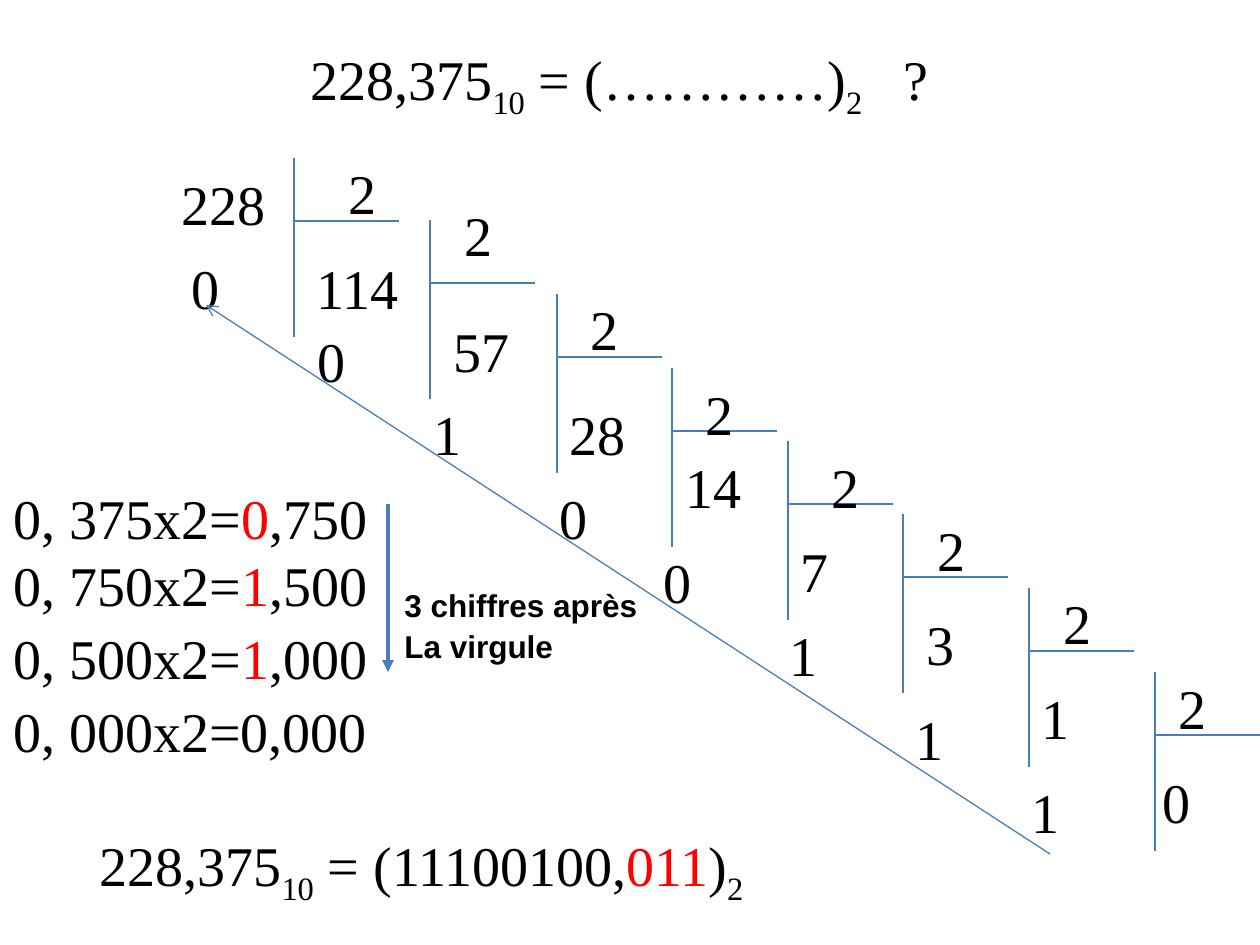
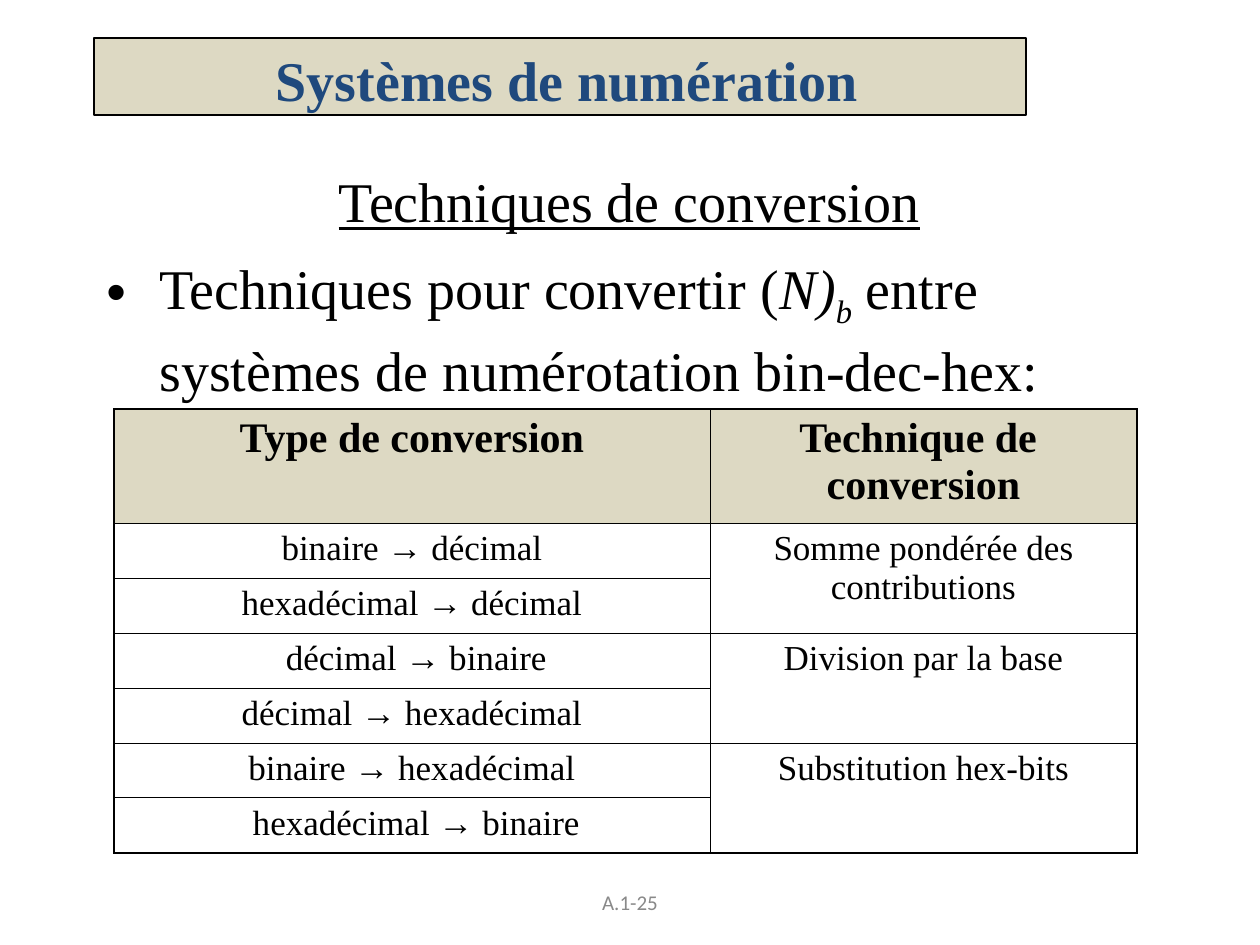
import pptx
import pptx.util
import pptx.dml.color
import pptx.enum.shapes
import pptx.enum.text
import pptx.oxml
import pptx.oxml.ns
from lxml import etree

PX = 914400 / 126
SERIF, SANS, FOOTER_FONT = "Times New Roman", "Arial", "Calibri"
BLACK, RED, BLUE, NAVY, SAND, GREY = "000000", "FF0000", "4A7EBB", "1F497D", "DDD9C3", "898989"
CENTER = pptx.enum.text.PP_ALIGN.CENTER
MIDDLE = pptx.enum.text.MSO_ANCHOR.MIDDLE
LINE_SPACING = 1.08
SUB = {"sub": True}

# Slide 1 content: a run is (text, format)
QUESTION = [(" 228,375", {}), ("10", SUB), (" = (…………)", {}), ("2", SUB), ("\t?", {})]
ANSWER = [(" 228,375", {}), ("10", SUB), (" = (11100100,", {}), ("011", {"color": RED}),
          (")", {}), ("2", SUB)]
NOTE = ["3 chiffres après", "La virgule"]
FRACTIONS = [(472, "0, 375x2=", "0", ",750"), (539, "0, 750x2=", "1", ",500"),
             (612, "0, 500x2=", "1", ",000"), (685, "0, 000x2=0,000", "", "")]
NUMBER, BASE = 228, 2
# Per division, the left and top of: bracket, divisor, dividend, remainder
DIVISIONS = [
    ((294, 158), (336, 147), (169, 158), (179, 242)),
    ((430, 220), (452, 189), (304, 242), (305, 315)),
    ((557, 294), (578, 283), (441, 305), (421, 388)),
    ((672, 368), (693, 368), (557, 388), (547, 472)),
    ((788, 441), (819, 441), (673, 441), (651, 536)),
    ((903, 514), (925, 504), (788, 525), (777, 609)),
    ((1029, 588), (1051, 577), (914, 598), (903, 693)),
    ((1155, 672), (1166, 662), (1029, 672), (1019, 766)),
]
LAST_QUOTIENT = (1150, 756)
BRACKET_HEIGHT, ARM_DROP, ARM_LENGTH = 179, 63, 105

# Slide 2 content
TITLE = " Systèmes de numération"
SUBTITLE = "Techniques de conversion"
INTRO = [("Techniques pour convertir (", {}), ("N)", {"italic": True}),
         ("b", {"italic": True, "sub": True}),
         (" entre systèmes de numérotation bin-dec-hex:", {})]
HEADERS = ["Type de conversion", "Technique de \nconversion"]
TECHNIQUES = [
    ("Somme pondérée des contributions", ["binaire → décimal", "hexadécimal → décimal"]),
    ("Division par la base", [" décimal → binaire", "décimal → hexadécimal"]),
    ("Substitution hex-bits", ["binaire → hexadécimal", " hexadécimal → binaire"]),
]
COLUMNS, HEADER_HEIGHT, ROW_HEIGHT = (596, 427), 114, 55
PAGE = "A.1-25"


def px(length):
    return pptx.util.Emu(round(length * PX))


def rgb(color):
    return pptx.dml.color.RGBColor.from_string(color)


def style(run, size=32, font=SERIF, color=BLACK, bold=False, italic=False,
          underline=False, sub=False):
    run.font.size, run.font.name = pptx.util.Pt(size), font
    run.font.bold, run.font.italic, run.font.underline = bold, italic, underline
    run.font.color.rgb = rgb(color)
    if sub:
        run.font._element.set("baseline", "-25000")


def add_runs(paragraph, runs, spacing=LINE_SPACING, **common):
    paragraph.line_spacing = spacing
    for text, own in runs:
        run = paragraph.add_run()
        run.text = text
        style(run, **{**common, **own})


def add_text(slide, box, lines, wrap=True, align=None, **common):
    frame = slide.shapes.add_textbox(*map(px, box)).text_frame
    frame.word_wrap = wrap
    for i, runs in enumerate(lines):
        paragraph = frame.add_paragraph() if i else frame.paragraphs[0]
        paragraph.alignment = align
        add_runs(paragraph, runs, **common)
    return frame


def add_digits(slide, number, place):
    text = str(number)
    add_text(slide, (*place, 25 + 28 * len(text), 81), [[(text, {})]], wrap=False)


def add_line(slide, start, end, width=0.75, arrow=None):
    line = slide.shapes.add_connector(pptx.enum.shapes.MSO_CONNECTOR.STRAIGHT,
                                      *map(px, (*start, *end)))
    line.line.color.rgb = rgb(BLUE)
    line.line.width = pptx.util.Pt(width)
    if arrow:
        etree.SubElement(line.line._get_or_add_ln(),
                         pptx.oxml.ns.qn("a:tailEnd")).set("type", arrow)
    etree.SubElement(line._element.spPr, pptx.oxml.ns.qn("a:effectLst"))


def set_borders(cell, widths):
    properties = cell._tc.get_or_add_tcPr()
    for side, width in zip("LRTB", widths):
        properties.append(pptx.oxml.parse_xml(
            f'<a:ln{side} {pptx.oxml.ns.nsdecls("a")} w="{round(width * 12700)}">'
            f'<a:solidFill><a:srgbClr val="{BLACK}"/></a:solidFill></a:ln{side}>'))


def fill_cell(cell, text, size, bold=False, fill=None):
    cell.text_frame.text = text
    for paragraph in cell.text_frame.paragraphs:
        paragraph.alignment = CENTER
        for run in paragraph.runs:
            style(run, size=size, bold=bold)
    if fill:
        cell.fill.solid()
        cell.fill.fore_color.rgb = rgb(fill)
    else:
        cell.fill.background()


def build_division_slide(slide):
    question = add_text(slide, (284, 32, 693, 166), [QUESTION])
    question.paragraphs[0]._p.get_or_add_pPr().append(pptx.oxml.parse_xml(
        f'<a:tabLst {pptx.oxml.ns.nsdecls("a")}><a:tab pos="{px(607)}" algn="l"/></a:tabLst>'))

    # Staircase of divisions
    dividend = NUMBER
    for (x, y), divisor_at, dividend_at, remainder_at in DIVISIONS:
        add_line(slide, (x, y), (x, y + BRACKET_HEIGHT))
        add_line(slide, (x, y + ARM_DROP), (x + ARM_LENGTH, y + ARM_DROP))
        add_digits(slide, BASE, divisor_at)
        add_digits(slide, dividend, dividend_at)
        dividend, remainder = divmod(dividend, BASE)
        add_digits(slide, remainder, remainder_at)
    add_digits(slide, dividend, LAST_QUOTIENT)

    # Fractional part, kept digits in red
    for top, product, digit, rest in FRACTIONS:
        runs = [(product, {}), (digit, {"color": RED}), (rest, {})]
        add_text(slide, (1, top, 379, 81), [[run for run in runs if run[0]]])
    add_line(slide, (388, 504), (388, 672), 2.25, "triangle")
    add_text(slide, (392, 577, 258, 88), [[(line, {})] for line in NOTE], wrap=False,
             size=18, font=SANS, bold=True)

    # Result and reading direction
    add_text(slide, (73, 818, 693, 100), [ANSWER])
    add_line(slide, (1050, 854), (206, 305), arrow="arrow")


def build_techniques_slide(slide):
    # Title band
    band = slide.shapes.add_shape(pptx.enum.shapes.MSO_SHAPE.RECTANGLE,
                                  *map(px, (94, 38, 932, 77)))
    band.shadow.inherit = False
    band.fill.solid()
    band.fill.fore_color.rgb = rgb(SAND)
    band.line.color.rgb = rgb(BLACK)
    band.line.width = pptx.util.Pt(0.75)
    band.text_frame.vertical_anchor = MIDDLE
    heading = band.text_frame.paragraphs[0]
    heading.alignment = CENTER
    add_runs(heading, [(TITLE, {})], color=NAVY, bold=True)

    # Subtitle and bullet
    body = add_text(slide, (94, 155, 1071, 250), [[(SUBTITLE, {"underline": True})], INTRO])
    subtitle, intro = body.paragraphs
    subtitle.alignment = CENTER
    intro.space_before = pptx.util.Pt(8)
    bullet = intro._p.get_or_add_pPr()
    bullet.set("marL", str(px(53)))
    bullet.set("indent", str(px(-53)))
    etree.SubElement(bullet, pptx.oxml.ns.qn("a:buFont")).set("typeface", SANS)
    etree.SubElement(bullet, pptx.oxml.ns.qn("a:buChar")).set("char", "•")

    # Table of techniques
    row_count = 1 + sum(len(kinds) for _, kinds in TECHNIQUES)
    height = HEADER_HEIGHT + ROW_HEIGHT * (row_count - 1)
    table = slide.shapes.add_table(row_count, 2, *map(px, (114, 409, sum(COLUMNS), height))).table
    for column, width in zip(table.columns, COLUMNS):
        column.width = px(width)
    for i, row in enumerate(table.rows):
        row.height = px(ROW_HEIGHT if i else HEADER_HEIGHT)

    top = 1
    for _, kinds in TECHNIQUES:
        table.cell(top, 1).merge(table.cell(top + len(kinds) - 1, 1))
        top += len(kinds)
    outer, inner = 0.96, 0.45
    for r in range(row_count):
        for c in range(2):
            cell = table.cell(r, c)
            last = r + (cell.span_height if cell.is_merge_origin else 1) == row_count
            edges = (c == 0, c == 1, r == 0, last)
            set_borders(cell, [outer if edge else inner for edge in edges])

    for c, header in enumerate(HEADERS):
        fill_cell(table.cell(0, c), header, 24, bold=True, fill=SAND)
    top = 1
    for technique, kinds in TECHNIQUES:
        fill_cell(table.cell(top, 1), technique, 20)
        for kind in kinds:
            fill_cell(table.cell(top, 0), kind, 20)
            top += 1

    # Footer
    footer = add_text(slide, (430, 876, 400, 50), [[(PAGE, {})]], align=CENTER,
                      size=12, font=FOOTER_FONT, color=GREY)
    footer.vertical_anchor = MIDDLE


def main():
    deck = pptx.Presentation()
    deck.slide_width, deck.slide_height = px(1260), px(945)
    for build in (build_division_slide, build_techniques_slide):
        build(deck.slides.add_slide(deck.slide_layouts[6]))
    deck.save("out.pptx")


if __name__ == "__main__":
    main()
